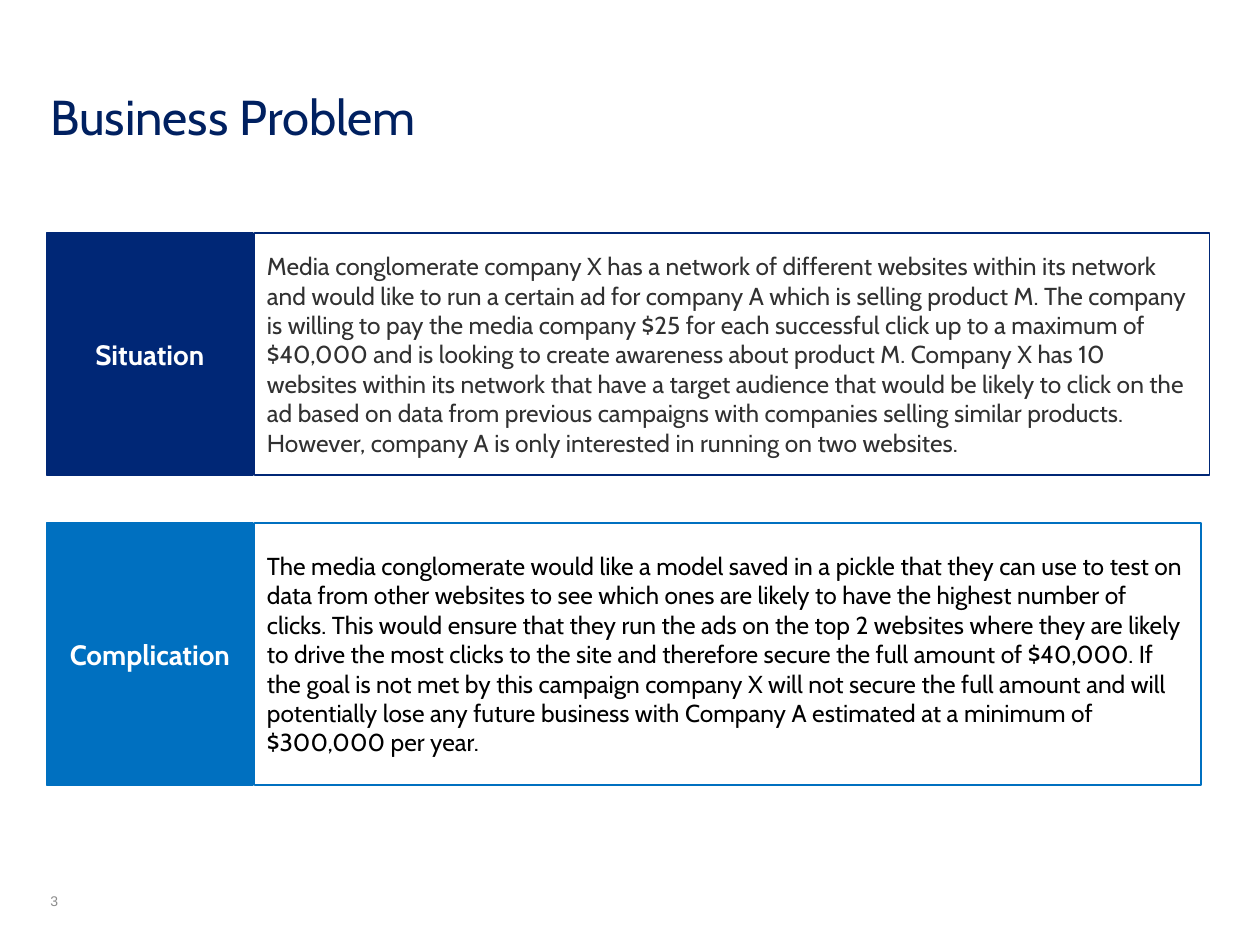
import pptx
import pptx.util
import pptx.dml.color
import pptx.enum.shapes
import pptx.enum.text

Inches = pptx.util.Inches
RGBColor = pptx.dml.color.RGBColor
ANCHOR = pptx.enum.text.MSO_ANCHOR
ALIGN = pptx.enum.text.PP_ALIGN

NAVY = RGBColor(0x00, 0x27, 0x76)
BLUE = RGBColor(0x00, 0x70, 0xC0)
TITLE_BLUE = RGBColor(0x00, 0x20, 0x60)
CHARCOAL = RGBColor(0x31, 0x31, 0x31)
BLACK = RGBColor(0x00, 0x00, 0x00)
WHITE = RGBColor(0xFF, 0xFF, 0xFF)
GREY = RGBColor(0x8C, 0x8C, 0x8C)

LABEL_LEFT, LABEL_WIDTH, BODY_LEFT = 0.37, 1.64, 2.02

SITUATION = (
    "Media conglomerate company X has a network of different websites within its "
    "network and would like to run a certain ad for company A which is selling "
    "product M. The company is willing to pay the media company $25 for each "
    "successful click up to a maximum of $40,000 and is looking to create awareness "
    "about product M. Company X has 10 websites within its network that have a "
    "target audience that would be likely to click on the ad based on data from "
    "previous campaigns with companies selling similar products. However, company A "
    "is only interested in running on two websites."
)
COMPLICATION = (
    "The media conglomerate would like a model saved in a pickle that they can use "
    "to test on data from other websites to see which ones are likely to have the "
    "highest number of clicks. This would ensure that they run the ads on the top 2 "
    "websites where they are likely to drive the most clicks to the site and "
    "therefore secure the full amount of $40,000. If the goal is not met by this "
    "campaign company X will not secure the full amount and will potentially lose "
    "any future business with Company A estimated at a minimum of $300,000 per year."
)


def write_text(tf, text, color, anchor, align=ALIGN.LEFT, **font):
    tf.word_wrap = True
    tf.vertical_anchor = anchor
    p = tf.paragraphs[0]
    p.alignment = align
    r = p.add_run()
    r.text = text
    r.font.color.rgb = color
    for name, value in font.items():
        setattr(r.font, name, value)


def add_text(slide, box, text, color, anchor, **font):
    sp = slide.shapes.add_textbox(*map(Inches, box))
    tf = sp.text_frame
    for side in ("left", "top", "right", "bottom"):
        setattr(tf, f"margin_{side}", 0)
    write_text(tf, text, color, anchor, **font)


def add_box(slide, box, line, fill=None):
    sp = slide.shapes.add_shape(
        pptx.enum.shapes.MSO_SHAPE.RECTANGLE, *map(Inches, box))
    sp.shadow.inherit = False
    sp.line.color.rgb = line
    sp.line.width = pptx.util.Pt(1)
    if fill is None:
        sp.fill.background()
    else:
        sp.fill.solid()
        sp.fill.fore_color.rgb = fill
    return sp.text_frame


def add_panel(slide, top, height, body_width, label, body, color, body_color):
    tf = add_box(slide, (LABEL_LEFT, top, LABEL_WIDTH, height), color, color)
    write_text(tf, label, WHITE, ANCHOR.MIDDLE, ALIGN.CENTER,
               name="Cabin", size=pptx.util.Pt(16), bold=True)
    tf = add_box(slide, (BODY_LEFT, top, body_width, height), color)
    write_text(tf, body, body_color, ANCHOR.MIDDLE,
               name="Cabin", size=pptx.util.Pt(14))


def main():
    prs = pptx.Presentation()
    prs.slide_width, prs.slide_height = Inches(10), Inches(7.5)
    slide = prs.slides.add_slide(prs.slide_layouts[6])
    add_text(slide, (0.4, 7.09, 0.5, 0.13), "3", GREY, ANCHOR.BOTTOM,
             name="Arial", size=pptx.util.Pt(8))
    add_text(slide, (0.4, 0.69, 9.2, 0.51), "Business Problem", TITLE_BLUE,
             ANCHOR.TOP, name="Cabin", size=pptx.util.Pt(28))
    add_panel(slide, 1.85, 1.92, 7.58, "Situation", SITUATION, NAVY, CHARCOAL)
    add_panel(slide, 4.15, 2.08, 7.51, "Complication", COMPLICATION, BLUE, BLACK)
    prs.save("out.pptx")


if __name__ == "__main__":
    main()
